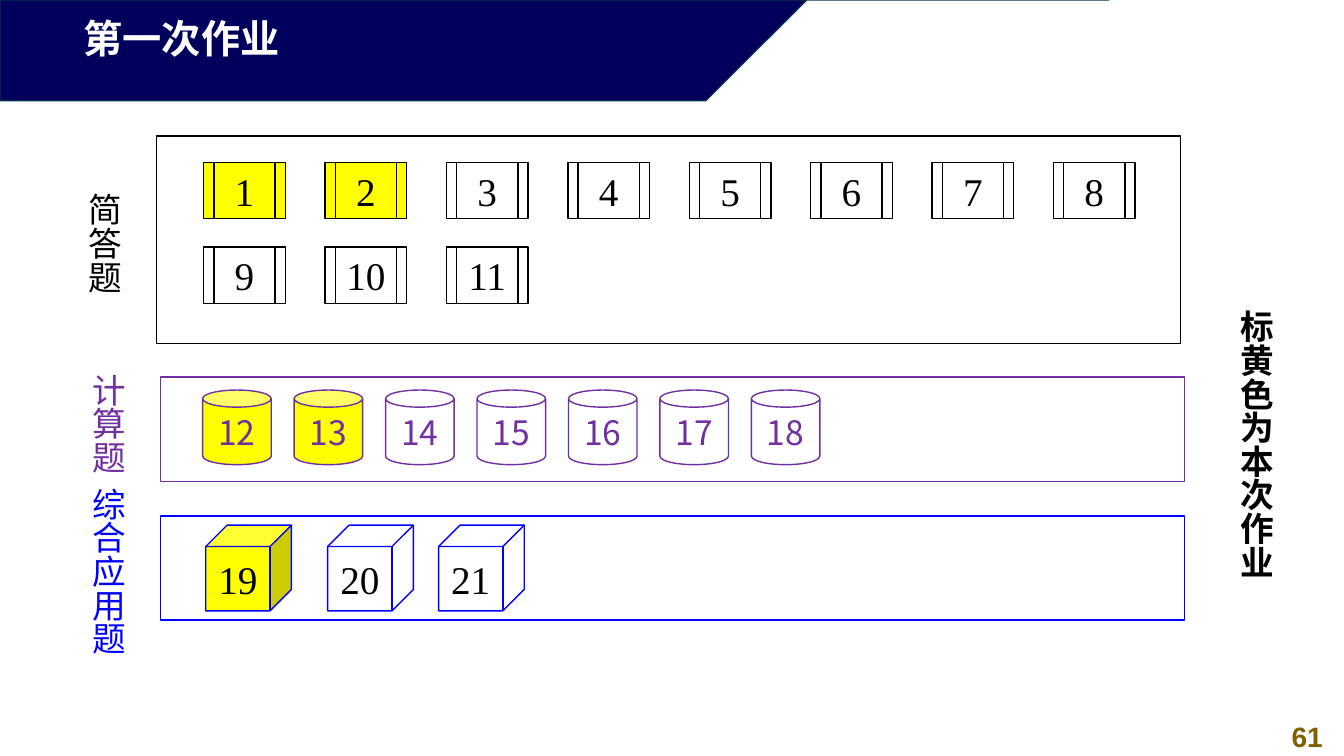
from dataclasses import dataclass

from pptx import Presentation, util as u
from pptx.dml.color import RGBColor
from pptx.enum import shapes, text
from pptx.oxml.ns import qn


@dataclass(frozen=True)
class Theme:
    """Colours, fonts and type sizes of the slide."""
    navy: str = "00005C"
    banner_edge: str = "05304F"
    white: str = "FFFFFF"
    black: str = "000000"
    purple: str = "7030A0"
    blue: str = "0000FF"
    assigned: str = "FFFF00"
    gold: str = "806000"
    heading_face: str = "Arial"
    number_face: str = "Times New Roman"
    chinese_face: str = "Noto Sans CJK SC"
    large: int = 28
    medium: int = 24
    small: int = 20


THEME = Theme()
SHORT_ANSWER, CALCULATION, APPLICATION = range(1, 12), range(12, 19), range(19, 22)
ASSIGNED = {1, 2, 12, 13, 19}


def write(frame, words, size, face, colour, bold=False, align=text.PP_ALIGN.LEFT):
    """Put one formatted run into a text frame."""
    paragraph = frame.paragraphs[0]
    paragraph.alignment = align
    run = paragraph.add_run()
    run.text = words
    run.font.size, run.font.bold = u.Pt(size), bold
    run.font.color.rgb = RGBColor.from_string(colour)
    run.font.name = face
    east_asian = run.font._element.makeelement(qn("a:ea"), {"typeface": THEME.chinese_face})
    run.font._element.find(qn("a:latin")).addnext(east_asian)


def paint(shape, line, fill=None):
    """Set fill and outline, and take the shadow off."""
    shape.shadow.inherit = False
    if fill:
        shape.fill.solid()
        shape.fill.fore_color.rgb = RGBColor.from_string(fill)
    else:
        shape.fill.background()
    shape.line.color.rgb = RGBColor.from_string(line)
    shape.line.width = u.Pt(1)


def add_header(slide, box):
    """Draw the slanted banner with the title on it."""
    left, top, width, height = box
    edge = [(0, 0.7), (2.42, 1.02), (4.62, 1), (6.56, 0.88), (8.39, 0.5),
            (10.22, 0.33), (11.03, 0.38), (11, 0)]
    outline = slide.shapes.build_freeform(-0.01, -0.01, scale=u.Inches(1))
    outline.add_line_segments(edge, close=True)
    banner = outline.convert_to_shape()
    paint(banner, THEME.banner_edge, THEME.navy)
    title = slide.shapes.title
    title.element.addprevious(banner.element)
    title.left, title.top = u.Inches(left), u.Inches(top)
    title.width, title.height = u.Inches(width), u.Inches(height)
    title.text_frame.vertical_anchor = text.MSO_ANCHOR.MIDDLE
    write(title.text_frame, "第一次作业", THEME.large, THEME.heading_face, THEME.white, True)


def add_vertical_label(slide, box, words, colour, bold=False):
    """Write a label that runs from top to bottom."""
    label = slide.shapes.add_textbox(*map(u.Inches, box))
    frame = label.text_frame
    frame.word_wrap = False
    frame.auto_size = text.MSO_AUTO_SIZE.SHAPE_TO_FIT_TEXT
    frame._txBody.bodyPr.set("vert", "eaVert")
    write(frame, words, THEME.medium, THEME.chinese_face, colour, bold)


def add_question(slide, preset, box, number, line, size, face, colour):
    """Draw one numbered question, yellow when it is assigned."""
    question = slide.shapes.add_shape(preset, *map(u.Inches, box))
    paint(question, line, THEME.assigned if number in ASSIGNED else None)
    frame = question.text_frame
    frame.word_wrap = False
    frame.vertical_anchor = text.MSO_ANCHOR.MIDDLE
    write(frame, str(number), size, face, colour, align=text.PP_ALIGN.CENTER)


def add_panel(slide, box, line):
    """Draw the frame around one group of questions."""
    panel = slide.shapes.add_shape(shapes.MSO_SHAPE.RECTANGLE, *map(u.Inches, box))
    paint(panel, line)


def add_short_answers(slide, box):
    """Draw the short-answer group, eight questions to a row."""
    left, top, _, _ = box
    add_panel(slide, box, THEME.black)
    add_vertical_label(slide, (left - 0.88, top + 0.47, 0.61, 1.11), "简答题", THEME.black)
    for index, number in enumerate(SHORT_ANSWER):
        row, column = divmod(index, 8)
        place = (left + 0.47 + 1.204 * column, top + 0.26 + 0.84 * row, 0.81, 0.56)
        add_question(slide, shapes.MSO_SHAPE.FLOWCHART_PREDEFINED_PROCESS, place, number,
                     THEME.black, THEME.large, THEME.number_face, THEME.black)


def add_calculations(slide, box):
    """Draw the calculation group as a row of cans."""
    left, top, _, _ = box
    add_panel(slide, box, THEME.purple)
    add_vertical_label(slide, (left - 0.88, top - 0.13, 0.61, 1.11), "计算题", THEME.purple)
    for index, number in enumerate(CALCULATION):
        place = (left + 0.42 + 0.907 * index, top + 0.13, 0.68, 0.74)
        add_question(slide, shapes.MSO_SHAPE.CAN, place, number,
                     THEME.purple, THEME.medium, THEME.chinese_face, THEME.purple)


def add_applications(slide, box):
    """Draw the application group as a row of cubes."""
    left, top, _, _ = box
    add_panel(slide, box, THEME.blue)
    add_vertical_label(slide, (left - 0.88, top - 0.38, 0.61, 1.78), "综合应用题", THEME.blue)
    for offset, number in zip((0.45, 1.66, 2.76), APPLICATION):
        add_question(slide, shapes.MSO_SHAPE.CUBE, (left + offset, top + 0.09, 0.85, 0.85),
                     number, THEME.blue, THEME.large, THEME.number_face, THEME.black)


def add_page_number(slide, box):
    """Write the page number in the corner."""
    page = slide.shapes.add_textbox(*map(u.Inches, box))
    page.text_frame.word_wrap = True
    write(page.text_frame, "61", THEME.small, THEME.heading_face, THEME.gold, True,
          text.PP_ALIGN.CENTER)


def main():
    """Build the homework slide and save it."""
    deck = Presentation()
    deck.slide_width, deck.slide_height = u.Inches(13.33), u.Inches(7.5)
    slide = deck.slides.add_slide(deck.slide_layouts[5])
    add_header(slide, (0.73, 0.09, 7.68, 0.57))
    add_short_answers(slide, (1.55, 1.35, 10.16, 2.06))
    add_calculations(slide, (1.59, 3.74, 10.16, 1.04))
    add_applications(slide, (1.59, 5.12, 10.16, 1.03))
    add_vertical_label(slide, (12.1, 2.98, 0.61, 2.79), "标黄色为本次作业", THEME.black, True)
    add_page_number(slide, (12.6, 7.09, 0.73, 0.44))
    deck.save("out.pptx")


if __name__ == "__main__":
    main()
